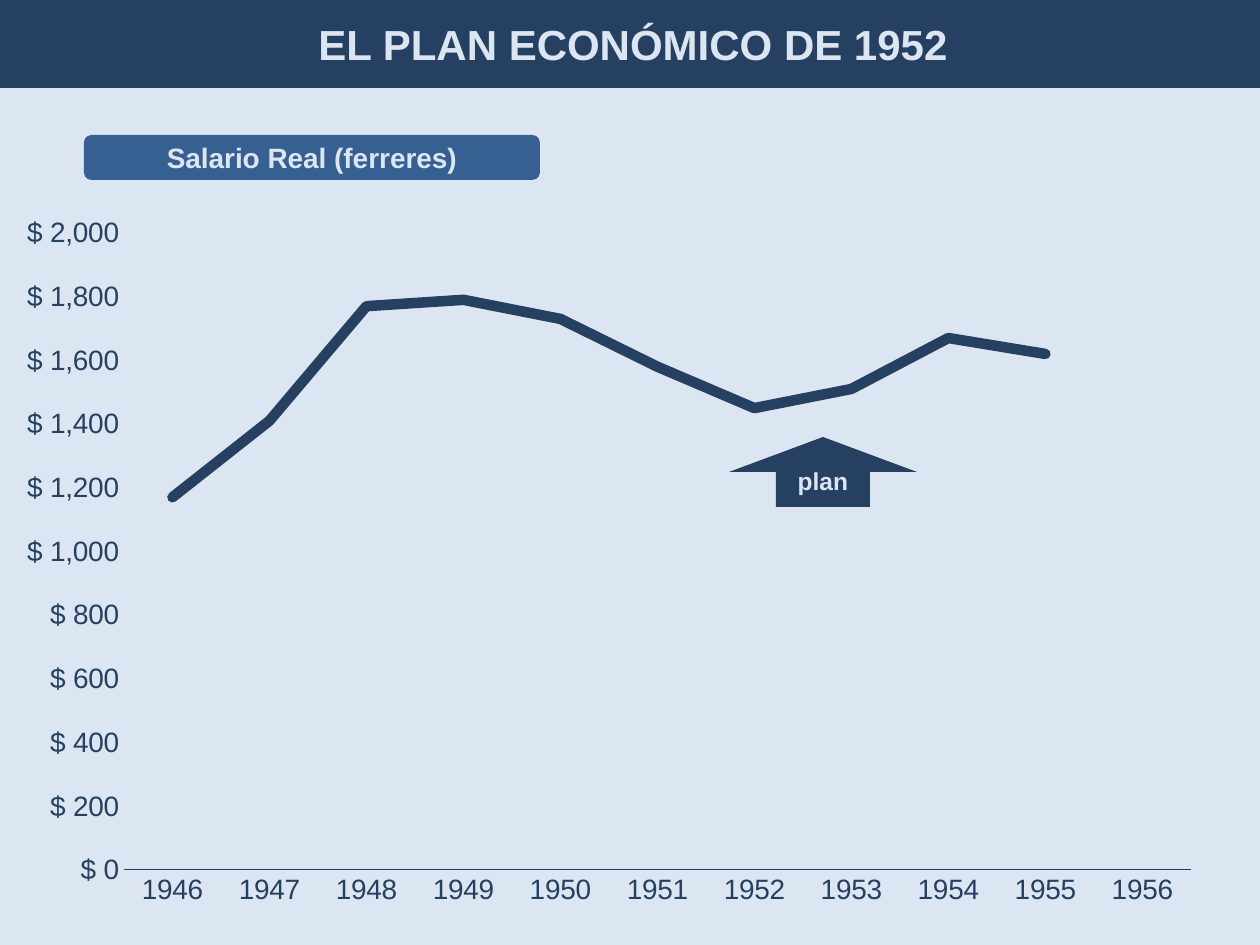
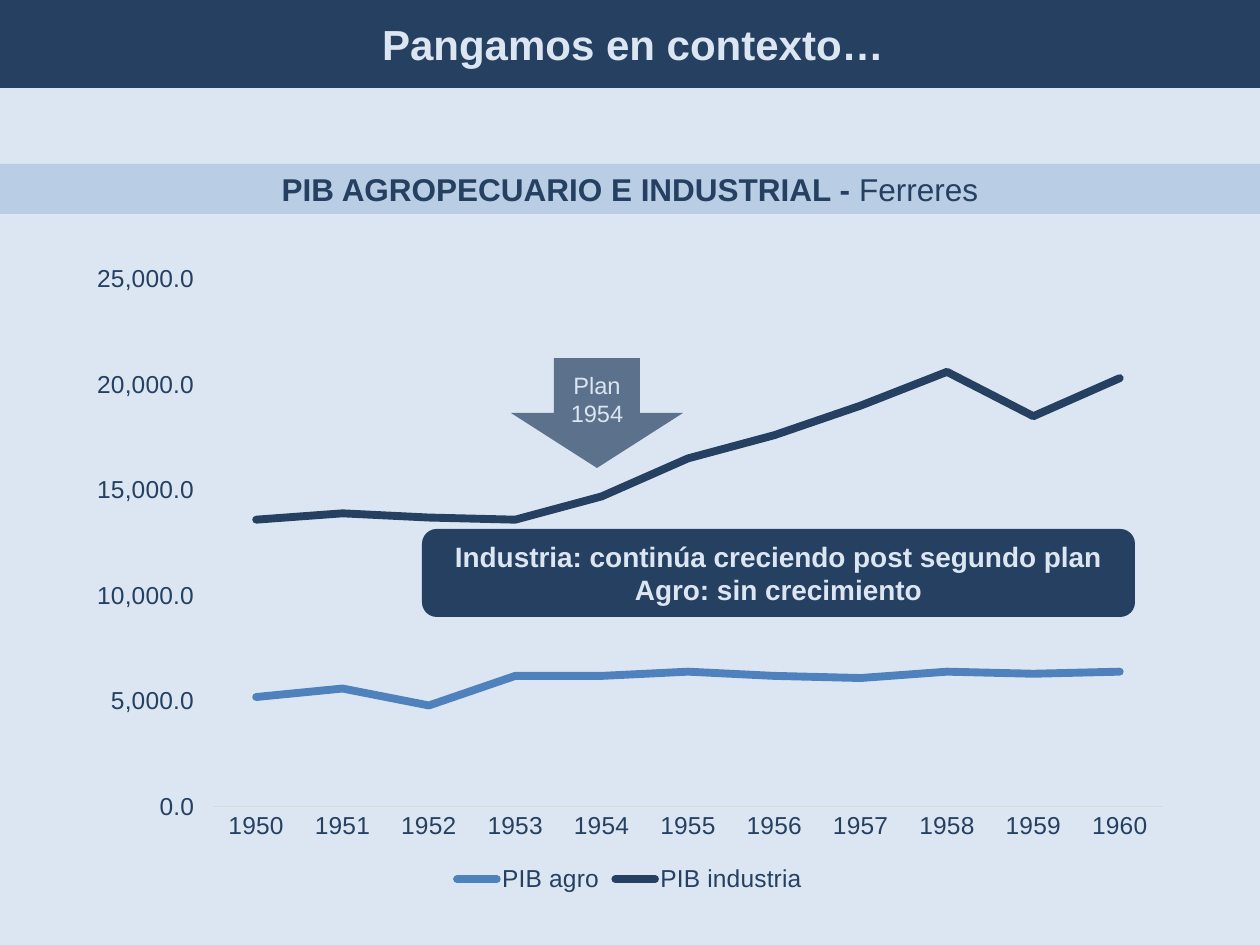
from dataclasses import dataclass

from lxml import etree
from pptx import Presentation
from pptx.chart.data import CategoryChartData
from pptx.dml.color import RGBColor
from pptx.enum.chart import XL_CHART_TYPE, XL_LEGEND_POSITION, XL_TICK_MARK
from pptx.enum.shapes import MSO_SHAPE
from pptx.enum.text import MSO_ANCHOR, PP_ALIGN
from pptx.oxml.ns import qn
from pptx.util import Emu, Pt

PX = 914400 / 126
PAGE_WIDTH, PAGE_HEIGHT = 1260, 945
FONT = "Arial"
NAVY, BLUE, SKY = "254061", "376092", "4F81BD"
PALE, BAND, GRAY = "DCE6F2", "B9CDE5", "D9D9D9"

RECT = MSO_SHAPE.RECTANGLE
ROUNDED = MSO_SHAPE.ROUNDED_RECTANGLE
UP_ARROW, DOWN_ARROW = MSO_SHAPE.UP_ARROW, MSO_SHAPE.DOWN_ARROW
CENTER = PP_ALIGN.CENTER
MIDDLE, TOP = MSO_ANCHOR.MIDDLE, MSO_ANCHOR.TOP
LINE_CHART = XL_CHART_TYPE.LINE
LEGEND_BOTTOM = XL_LEGEND_POSITION.BOTTOM
NO_TICK = XL_TICK_MARK.NONE


@dataclass
class Area:
    left: int
    top: int
    width: int
    height: int

    def emu(self) -> list[Emu]:
        return [px(n) for n in (self.left, self.top, self.width, self.height)]


@dataclass
class Series:
    name: str
    color: str
    values: list[int | None]


@dataclass
class LineChart:
    area: Area
    plot: Area
    first_year: int
    series: list[Series]
    top_value: int
    step: int
    number_format: str
    font_size: int
    line_width: float
    axis_color: str
    legend: bool = False


def px(length: int) -> Emu:
    return Emu(round(length * PX))


def rgb(color: str) -> RGBColor:
    return RGBColor.from_string(color)


def set_font(font, size: float, color: str, bold: bool = False) -> None:
    font.name, font.size, font.bold = FONT, Pt(size), bold
    font.color.rgb = rgb(color)


def add_span(para, text: str, *, size: float, color: str = PALE, bold: bool = True) -> None:
    span = para.add_run()
    span.text = text
    set_font(span.font, size, color, bold)


def add_box(page, kind, area: Area, color: str, lines: list[str], *, size: float,
            text_color: str = PALE, bold: bool = True, anchor=MIDDLE, opacity: int = 100):
    """Draw a filled shape with one centred paragraph per line."""
    box = page.shapes.add_shape(kind, *area.emu())
    box.shadow.inherit = False
    box.fill.solid()
    box.fill.fore_color.rgb = rgb(color)
    box.line.fill.background()
    if opacity < 100:
        fill = box._element.spPr.find(qn("a:solidFill"))
        etree.SubElement(fill[0], qn("a:alpha"), val=str(opacity * 1000))
    frame = box.text_frame
    frame.word_wrap = True
    frame.vertical_anchor = anchor
    for index, line in enumerate(lines):
        para = frame.add_paragraph() if index else frame.paragraphs[0]
        para.alignment = CENTER
        add_span(para, line, size=size, color=text_color, bold=bold)
    return box


def add_page(deck, title: str):
    """Add a page with the shared background and title bar."""
    page = deck.slides.add_slide(deck.slide_layouts[6])
    page.background.fill.solid()
    page.background.fill.fore_color.rgb = rgb(PALE)
    bar = add_box(page, ROUNDED, Area(0, 0, 1266, 88), NAVY, [title], size=24)
    bar.adjustments[0] = 0
    return page


def place_plot(chart, area: Area, plot: Area) -> None:
    """Fix the inner plot rectangle as fractions of the chart area."""
    plot_area = chart._chartSpace.find(".//" + qn("c:plotArea"))
    for old in plot_area.findall(qn("c:layout")):
        plot_area.remove(old)
    layout = etree.Element(qn("c:layout"))
    plot_area.insert(0, layout)
    manual = etree.SubElement(layout, qn("c:manualLayout"))
    settings = {
        "layoutTarget": "inner", "xMode": "edge", "yMode": "edge",
        "x": (plot.left - area.left) / area.width,
        "y": (plot.top - area.top) / area.height,
        "w": plot.width / area.width,
        "h": plot.height / area.height,
    }
    for name, value in settings.items():
        etree.SubElement(manual, qn("c:" + name), val=str(value))


def add_line_chart(page, spec_: LineChart) -> None:
    data = CategoryChartData()
    count = len(spec_.series[0].values)
    data.categories = [str(spec_.first_year + n) for n in range(count)]
    for item in spec_.series:
        data.add_series(item.name, item.values)
    chart = page.shapes.add_chart(LINE_CHART, *spec_.area.emu(), data).chart
    chart.has_title = False
    set_font(chart.font, spec_.font_size, NAVY)
    place_plot(chart, spec_.area, spec_.plot)

    # Axes
    years, values = chart.category_axis, chart.value_axis
    for axis in (years, values):
        axis.major_tick_mark = axis.minor_tick_mark = NO_TICK
        axis.has_major_gridlines = False
        set_font(axis.tick_labels.font, spec_.font_size, NAVY)
    years.format.line.color.rgb = rgb(spec_.axis_color)
    years.format.line.width = Pt(0.75)
    values.format.line.fill.background()
    values.minimum_scale, values.maximum_scale = 0, spec_.top_value
    values.major_unit = spec_.step
    values.tick_labels.number_format = spec_.number_format
    values.tick_labels.number_format_is_linked = False

    # Lines
    chart.plots[0].vary_by_categories = False
    for drawn, item in zip(chart.plots[0].series, spec_.series):
        drawn.smooth = False
        drawn.format.line.color.rgb = rgb(item.color)
        drawn.format.line.width = Pt(spec_.line_width)
        outline = drawn._element.find(".//" + qn("a:ln"))
        outline.set("cap", "rnd")
        etree.SubElement(outline, qn("a:round"))

    # Legend
    chart.has_legend = spec_.legend
    if spec_.legend:
        chart.legend.position = LEGEND_BOTTOM
        chart.legend.include_in_layout = False
        set_font(chart.legend.font, spec_.font_size, NAVY)


REAL_WAGE = LineChart(
    area=Area(3, 204, 1212, 714), plot=Area(124, 233, 1067, 637), first_year=1946,
    series=[Series("Series 1", NAVY, [1170, 1410, 1770, 1790, 1730, 1580,
                                      1450, 1510, 1670, 1620, None])],
    top_value=2000, step=200, number_format='"$"\\ #,##0',
    font_size=16, line_width=6, axis_color=NAVY)

SECTOR_OUTPUT = LineChart(
    area=Area(74, 252, 1111, 646), plot=Area(213, 279, 950, 528), first_year=1950,
    series=[
        Series("PIB agro", SKY, [5200, 5600, 4800, 6200, 6200, 6400,
                                 6200, 6100, 6400, 6300, 6400]),
        Series("PIB industria", NAVY, [13600, 13900, 13700, 13600, 14700, 16500,
                                       17600, 19000, 20600, 18500, 20300]),
    ],
    top_value=25000, step=5000, number_format="#,##0.0\\ \\ ",
    font_size=14, line_width=4.5, axis_color=GRAY, legend=True)


def build_wage_page(deck) -> None:
    page = add_page(deck, "EL PLAN ECONÓMICO DE 1952")
    add_line_chart(page, REAL_WAGE)
    add_box(page, UP_ARROW, Area(729, 437, 188, 70), NAVY, ["plan"], size=14)
    add_box(page, ROUNDED, Area(84, 135, 456, 45), BLUE,
            ["Salario Real (ferreres)"], size=16)


def build_output_page(deck) -> None:
    page = add_page(deck, "Pangamos en contexto…")
    band = add_box(page, RECT, Area(0, 164, PAGE_WIDTH, 50), BAND,
                   ["PIB AGROPECUARIO E INDUSTRIAL - "], size=18,
                   text_color=NAVY, anchor=TOP)
    add_span(band.text_frame.paragraphs[0], "Ferreres", size=18, color=NAVY, bold=False)
    add_line_chart(page, SECTOR_OUTPUT)
    add_box(page, ROUNDED, Area(422, 529, 713, 88), NAVY,
            ["Industria: continúa creciendo post segundo plan",
             "Agro: sin crecimiento"], size=16)
    add_box(page, DOWN_ARROW, Area(511, 358, 172, 110), NAVY, ["Plan 1954"],
            size=13.5, bold=False, opacity=70)


def main() -> None:
    deck = Presentation()
    deck.slide_width, deck.slide_height = px(PAGE_WIDTH), px(PAGE_HEIGHT)
    build_wage_page(deck)
    build_output_page(deck)
    deck.save("out.pptx")


if __name__ == "__main__":
    main()
